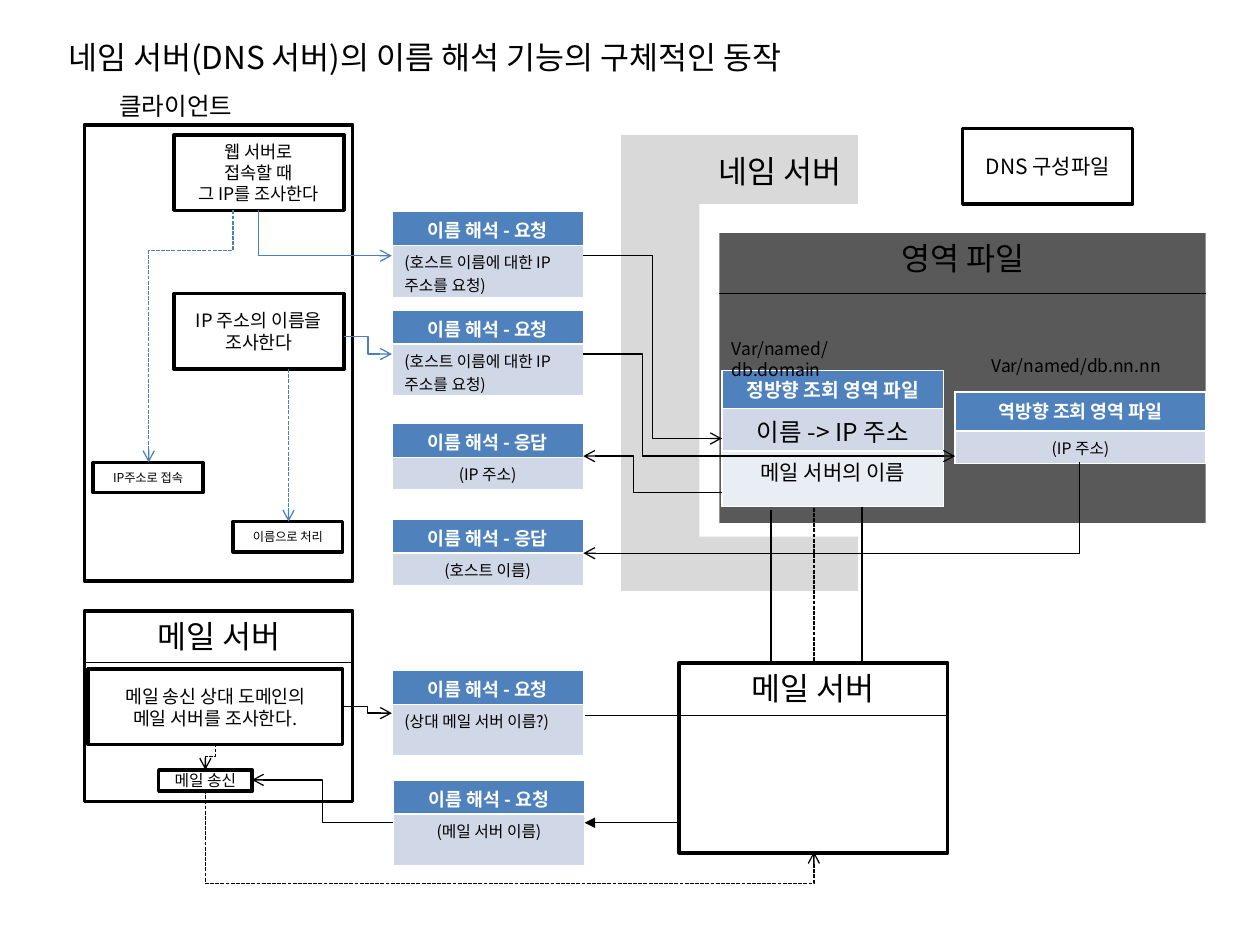
from lxml.etree import SubElement
from pptx import Presentation
from pptx.dml.color import RGBColor
from pptx.enum.dml import MSO_LINE
from pptx.enum.shapes import MSO_CONNECTOR, MSO_SHAPE
from pptx.enum.text import MSO_ANCHOR, PP_ALIGN
from pptx.oxml.ns import qn
from pptx.util import Inches, Pt

FONT = "Noto Sans CJK KR"
BLACK, WHITE, BLUE = "000000", "FFFFFF", "4B7EBC"
HEAD, BAND, PALE = "4F81BD", "D0D8E8", "E9EDF4"
LEFT, MID, RIGHT = PP_ALIGN.LEFT, PP_ALIGN.CENTER, PP_ALIGN.RIGHT


def color(code):
    return RGBColor.from_string(code)


def inches(*values):
    return [Inches(v) for v in values]


class Board:
    def __init__(self, deck):
        self.slide = deck.slides.add_slide(deck.slide_layouts[5])
        self.shapes = self.slide.shapes

    def words(self, frame, text, size, align, ink=BLACK, bold=False):
        frame.text = text
        frame.word_wrap = True
        for para in frame.paragraphs:
            para.alignment = align
            for run in para.runs:
                font = run.font
                font.size, font.bold = Pt(size), bold
                font.color.rgb = color(ink)
                font.name = FONT
                SubElement(font._element, qn("a:ea")).set("typeface", FONT)

    def title(self, text, *at):
        hold = self.shapes.title
        hold.left, hold.top, hold.width, hold.height = inches(*at)
        self.words(hold.text_frame, text, 18, LEFT)
        hold.text_frame.vertical_anchor = MSO_ANCHOR.TOP

    def label(self, text, size, align, *at):
        box = self.shapes.add_textbox(*inches(*at))
        self.words(box.text_frame, text, size, align)

    def box(self, *at, text="", size=10.5, fill=None, edge=True):
        box = self.shapes.add_shape(MSO_SHAPE.RECTANGLE, *inches(*at))
        box.shadow.inherit = False
        if fill:
            box.fill.solid()
            box.fill.fore_color.rgb = color(fill)
        else:
            box.fill.background()
        if edge:
            box.line.color.rgb = color(BLACK)
            box.line.width = Pt(2)
        else:
            box.line.fill.background()
        if text:
            self.words(box.text_frame, text, size, MID)
            box.text_frame.vertical_anchor = MSO_ANCHOR.MIDDLE

    def table(self, x, y, wide, rows):
        """Each row holds height, text, size, alignment and fill."""
        high = sum(row[0] for row in rows)
        grid = self.shapes.add_table(len(rows), 1, *inches(x, y, wide, high)).table
        for i, (tall, text, size, align, fill) in enumerate(rows):
            grid.rows[i].height = Inches(tall)
            cell = grid.cell(i, 0)
            cell.fill.solid()
            cell.fill.fore_color.rgb = color(fill)
            cell.margin_top, cell.margin_bottom = inches(0.04, 0)
            self.words(cell.text_frame, text, size, align,
                       BLACK if i else WHITE, not i)

    def card(self, y, kind, text, high=0.41, align=MID, x=3.11):
        self.table(x, y, 1.52, [(0.27, "이름 해석 - " + kind, 10.5, MID, HEAD),
                                (high, text, 9, align, BAND)])

    def style(self, link, ink, dash, tip):
        link.line.color.rgb = color(ink)
        link.line.width = Pt(0.75)
        if dash:
            link.line.dash_style = MSO_LINE.SQUARE_DOT
        props = link._element.spPr
        if tip:
            SubElement(props.find(qn("a:ln")), qn("a:tailEnd")).set("type", tip)
        SubElement(props, qn("a:effectLst"))

    def line(self, x1, y1, x2, y2, ink=BLACK, dash=False, tip=None):
        link = self.shapes.add_connector(MSO_CONNECTOR.STRAIGHT,
                                         *inches(x1, y1, x2, y2))
        self.style(link, ink, dash, tip)

    def bend(self, x1, y1, x2, y2, ink=BLACK, dash=False, tip="arrow",
             down=False, corner=False, turn=0.5):
        """An elbow leaving sideways, or downwards when down is set."""
        ends = x1, y1, x2, y2
        if down:
            # Lay the elbow on its side about its centre, then rotate it
            midx, midy = (x1 + x2) / 2, (y1 + y2) / 2
            wide, high = (y2 - y1) / 2, abs(x2 - x1) / 2
            side = 1 if x2 < x1 else -1
            ends = (midx - side * wide, midy - high,
                    midx + side * wide, midy + high)
        link = self.shapes.add_connector(MSO_CONNECTOR.ELBOW, *inches(*ends))
        props = link._element.spPr
        if down:
            angle = 90 if x2 < x1 else 270
            props.find(qn("a:xfrm")).set("rot", str(angle * 60000))
        geom = props.find(qn("a:prstGeom"))
        if corner:
            geom.set("prst", "bentConnector2")
        elif turn != 0.5:
            guide = SubElement(geom.find(qn("a:avLst")), qn("a:gd"))
            guide.set("name", "adj1")
            guide.set("fmla", f"val {round(turn * 100000)}")
        self.style(link, ink, dash, tip)


deck = Presentation()
deck.slide_width, deck.slide_height = inches(10, 7.5)
b = Board(deck)
b.title("네임 서버(DNS 서버)의 이름 해석 기능의 구체적인 동작", 0.44, 0.25, 8.98, 0.4)

# Client
b.label("클라이언트", 14, LEFT, 0.85, 0.67, 2.13, 0.34)
b.box(0.67, 0.99, 2.13, 3.62)
b.box(1.38, 1.07, 1.35, 0.6, text="웹 서버로\n접속할 때\n그 IP를 조사한다", size=10)
b.box(1.38, 2.33, 1.35, 0.6, text="IP 주소의 이름을 조사한다")
b.box(0.74, 3.67, 0.87, 0.24, text="IP주소로 접속", size=7)
b.box(1.85, 4.14, 0.87, 0.24, text="이름으로 처리", size=7)

# Requests and replies
for y in (1.68, 2.46):
    b.card(y, "요청", "(호스트 이름에 대한 IP 주소를 요청)", align=LEFT)
for y, reply in ((3.36, "(IP 주소)"), (4.12, "(호스트 이름)")):
    b.card(y, "응답", reply, high=0.26)

# Client links
b.bend(2.05, 1.67, 3.11, 2.03, BLUE, down=True, corner=True)
b.bend(2.73, 2.67, 3.11, 2.81, BLUE)
b.bend(1.85, 1.67, 1.18, 3.67, BLUE, dash=True, down=True, turn=0.16)
b.line(2.29, 2.93, 2.29, 4.14, BLUE, dash=True, tip="arrow")

# Name server and zone files
b.box(4.93, 1.07, 1.88, 3.62, fill="D9D9D9", edge=False)
b.box(5.55, 1.62, 1.34, 2.64, fill=WHITE, edge=False)
b.label("네임 서버", 18, RIGHT, 5.05, 1.16, 1.73, 0.4)
b.box(5.71, 1.85, 3.86, 2.3, fill="595959", edge=False)
b.label("영역 파일", 18, MID, 5.71, 1.85, 3.86, 0.4)
b.table(5.73, 2.94, 1.76, [(0.3, "정방향 조회 영역 파일", 11, MID, HEAD),
                           (0.34, "이름 -> IP 주소", 14, MID, BAND),
                           (0.44, "메일 서버의 이름", 12, MID, PALE)])
b.table(7.58, 3.11, 1.99, [(0.31, "역방향 조회 영역 파일", 10.5, MID, HEAD),
                           (0.26, "(IP 주소)", 9, MID, BAND)])
b.label("Var/named/db.domain", 10, LEFT, 5.71, 2.63, 1.65, 0.27)
b.label("Var/named/db.nn.nn", 10, LEFT, 7.77, 2.77, 1.65, 0.27)
b.line(5.71, 2.33, 9.57, 2.33)
b.box(7.64, 1.02, 1.35, 0.6, text="DNS 구성파일", size=12)

# Sending mail server
b.box(0.67, 4.85, 2.13, 1.51)
b.line(0.67, 5.26, 2.8, 5.26)
b.box(0.7, 5.31, 2.02, 0.6, text="메일 송신 상대 도메인의\n메일 서버를 조사한다.")
b.box(1.26, 6.11, 0.74, 0.17, text="메일 송신", size=9)
b.card(5.32, "요청", "(상대 메일 서버 이름?)", align=LEFT)
b.card(6.19, "요청", "(메일 서버 이름)", x=3.12)
b.label("메일 서버", 18, MID, 0.67, 4.85, 2.13, 0.4)

# Name server links
b.bend(4.63, 2.03, 5.73, 3.48)
b.bend(4.63, 2.81, 7.58, 3.62, turn=0.16)
b.bend(5.73, 3.91, 4.63, 3.62, turn=0.64)
b.bend(8.57, 3.67, 4.63, 4.39, down=True, corner=True)
b.line(6.46, 4.03, 6.46, 5.26, dash=True)
b.bend(1.71, 5.9, 1.63, 6.11, dash=True, down=True)
b.bend(6.12, 4.05, 4.64, 5.68, tip=None, down=True, corner=True)
b.bend(6.84, 4.02, 4.64, 6.53, tip="triangle", down=True, corner=True)

# Receiving mail server
b.box(5.39, 5.26, 2.13, 1.51, fill=WHITE)
b.bend(1.63, 6.27, 6.46, 6.76, dash=True, down=True, turn=1.51)
b.bend(2.72, 5.61, 3.11, 5.66)
b.bend(3.12, 6.53, 2, 6.19)
b.label("메일 서버", 18, MID, 5.39, 5.26, 2.13, 0.4)
b.line(5.39, 5.68, 7.52, 5.68)

deck.save("out.pptx")
